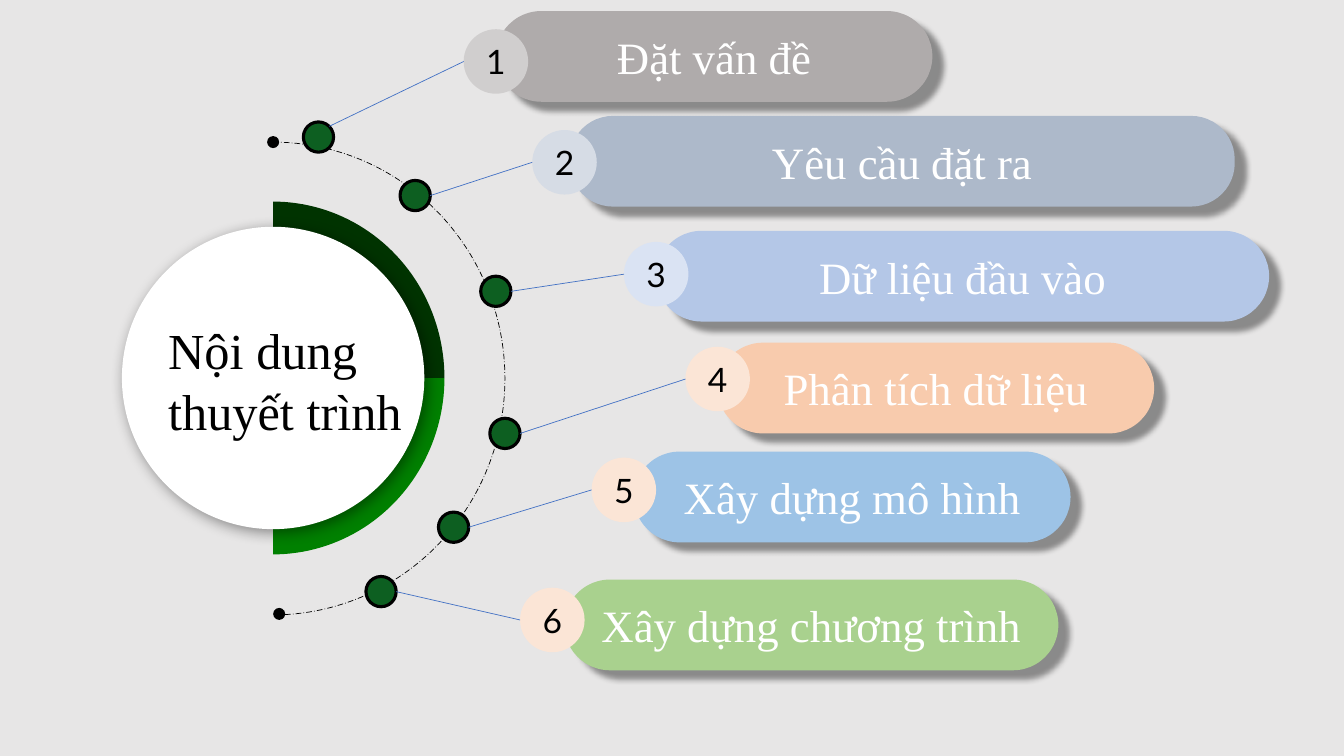
from math import cos, radians, sin

from lxml.etree import SubElement
from pptx import Presentation
from pptx.dml.color import RGBColor
from pptx.enum.dml import MSO_LINE
from pptx.enum.shapes import MSO_CONNECTOR, MSO_SHAPE
from pptx.enum.text import MSO_ANCHOR, PP_ALIGN
from pptx.oxml.ns import qn
from pptx.util import Pt

# Content and colours; positions are in points
COLOURS = {
    "background": "E7E6E6", "black": "000000", "white": "FFFFFF",
    "dark_green": "003300", "green": "008000", "dot": "0D5F21", "link": "4472C4",
}
TITLE = "Nội dung thuyết trình"
TITLE_FONT, NUMBER_FONT = "Times New Roman", "Lato"
# label, bar (left, top, width), badge (left, top), dot (left, top), colours, roundness, link angle
TOPICS = [
    ("Đặt vấn đề", (354.2, 7.9, 311.8), (331.2, 20.9), (216.7, 87.1), "AFABAB", "D0CECE", 0.5, -45),
    ("Yêu cầu đặt ra", (406.8, 82.8, 475.2), (380.2, 92.9), (285.8, 128.9), "ADB9CA", "D6DCE5", 0.48, 0),
    ("Dữ liệu đầu vào", (468.7, 164.9, 437.8), (445.7, 172.8), (343.4, 197.3), "B4C7E7", "DAE3F3", 0.5, 0),
    ("Phân tích dữ liệu", (512.6, 244.8, 311.8), (489.6, 247.7), (349.9, 298.8), "F8CBAD", "FBE5D6", 0.5, 0),
    ("Xây dựng mô hình", (452.9, 322.6, 311.8), (422.6, 326.9), (313.2, 365.8), "9DC3E6", "FBE5D6", 0.5, 0),
    ("Xây dựng chương trình", (403.2, 414, 352.8), (371.5, 419.8), (261.4, 411.8), "A9D18E", "FBE5D6", 0.5, 0),
]
BAR_HEIGHT, BADGE_SIZE, DOT_SIZE, END_SIZE = 64.8, 46.1, 21.6, 8.6
CENTRE, SECTOR_RADII = (195.1, 270), (122.4, 126)
ARC_ENDS = [(190.8, 97.2), (195.1, 434.2)]
SECTORS = [(-90, "dark_green"), (0, "green")]

deck = Presentation()
deck.slide_width, deck.slide_height = Pt(960), Pt(540)
page = deck.slides.add_slide(deck.slide_layouts[6])


def paint(shape, fill=None, line=None, line_width=0.5):
    shape.shadow.inherit = False
    if fill:
        shape.fill.solid()
        shape.fill.fore_color.rgb = RGBColor.from_string(fill)
    else:
        shape.fill.background()
    if line:
        shape.line.color.rgb = RGBColor.from_string(line)
        shape.line.width = Pt(line_width)
    else:
        shape.line.fill.background()


def add_shape(kind, left, top, width, height, **style):
    shape = page.shapes.add_shape(kind, Pt(left), Pt(top), Pt(width), Pt(height))
    paint(shape, **style)
    return shape


def add_circle(place, size, **style):
    return add_shape(MSO_SHAPE.OVAL, *place, size, size, **style)


def cast_shadow(shape, blur, distance, angle):
    effects = shape._element.spPr.find(qn("a:effectLst"))
    shadow = SubElement(effects, qn("a:outerShdw"), blurRad=str(Pt(blur)), dist=str(Pt(distance)),
                        dir=str(angle * 60000), algn="tl", rotWithShape="0")
    colour = SubElement(shadow, qn("a:srgbClr"), val=COLOURS["black"])
    SubElement(colour, qn("a:alpha"), val="40000")


def write(shape, text, size, font, colour, align=PP_ALIGN.CENTER, anchor=MSO_ANCHOR.MIDDLE):
    frame = shape.text_frame
    frame.word_wrap = True
    frame.vertical_anchor = anchor
    frame.text = text
    para = frame.paragraphs[0]
    para.alignment = align
    span = para.runs[0]
    span.font.size, span.font.name = Pt(size), font
    span.font.color.rgb = RGBColor.from_string(COLOURS[colour])


# Background and dashed arc with its end points
page.background.fill.solid()
page.background.fill.fore_color.rgb = RGBColor.from_string(COLOURS["background"])
arc = add_shape(MSO_SHAPE.ARC, 29.5, 101.5, 331.2, 337.7, line=COLOURS["black"])
arc.adjustments[0], arc.adjustments[1] = 162, 53.7
arc.line.dash_style = MSO_LINE.LONG_DASH_DOT
for place in ARC_ENDS:
    add_circle(place, END_SIZE, fill=COLOURS["black"])

# Two quarter sectors behind the title circle
for start, name in SECTORS:
    rim = [tuple(Pt(middle + radius * turn(radians(start + step)))
                 for middle, radius, turn in zip(CENTRE, SECTOR_RADII, (cos, sin)))
           for step in range(0, 91, 2)]
    builder = page.shapes.build_freeform(Pt(CENTRE[0]), Pt(CENTRE[1]))
    builder.add_line_segments(rim, close=True)
    paint(builder.convert_to_shape(), fill=COLOURS[name])

# Title circle
disc = add_circle((87.1, 162), 216, fill=COLOURS["white"])
cast_shadow(disc, 10, 3, 45)
title = page.shapes.add_textbox(Pt(113), Pt(224.6), Pt(185.8), Pt(94.3))
write(title, TITLE, 36, TITLE_FONT, "black", PP_ALIGN.LEFT, MSO_ANCHOR.TOP)

# Topics: bar, dot on the arc, numbered badge and link
for number, (label, bar_place, badge_place, dot_place, bar_fill, badge_fill,
             roundness, angle) in enumerate(TOPICS, 1):
    bar = add_shape(MSO_SHAPE.ROUNDED_RECTANGLE, *bar_place, BAR_HEIGHT, fill=bar_fill)
    bar.adjustments[0] = roundness
    cast_shadow(bar, 4, 10, 40)
    write(bar, label, 32, TITLE_FONT, "white")

    add_circle(dot_place, DOT_SIZE, fill=COLOURS["dot"], line=COLOURS["black"], line_width=2.25)
    badge = add_circle(badge_place, BADGE_SIZE, fill=badge_fill)
    write(badge, str(number), 24, NUMBER_FONT, "black")

    radius = DOT_SIZE / 2
    start_x = dot_place[0] + radius + radius * cos(radians(angle))
    start_y = dot_place[1] + radius + radius * sin(radians(angle))
    link = page.shapes.add_connector(MSO_CONNECTOR.STRAIGHT, Pt(start_x), Pt(start_y),
                                     Pt(badge_place[0]), Pt(badge_place[1] + BADGE_SIZE / 2))
    link.line.color.rgb = RGBColor.from_string(COLOURS["link"])
    link.line.width = Pt(0.5)
    SubElement(link._element.spPr, qn("a:effectLst"))

deck.save("out.pptx")
